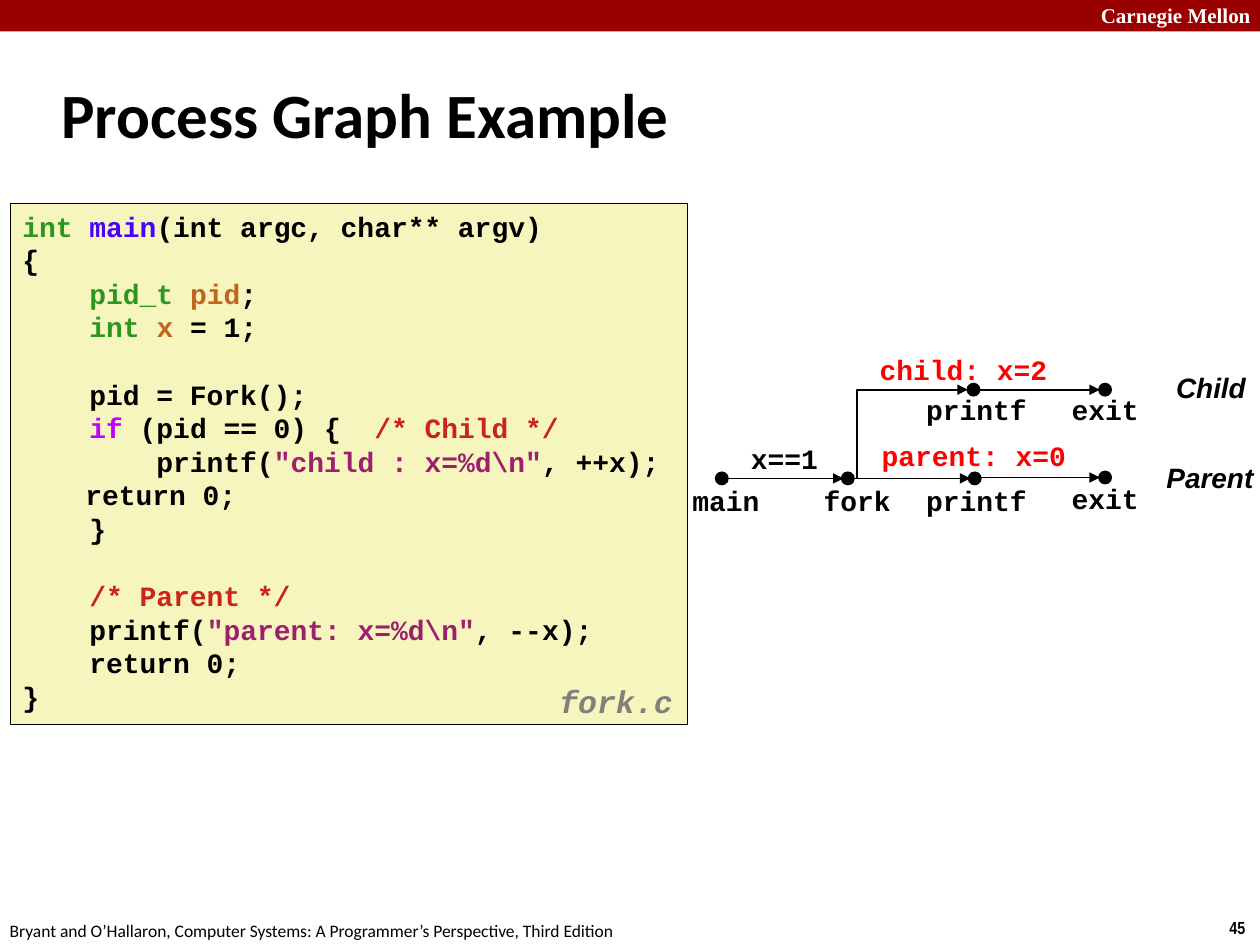
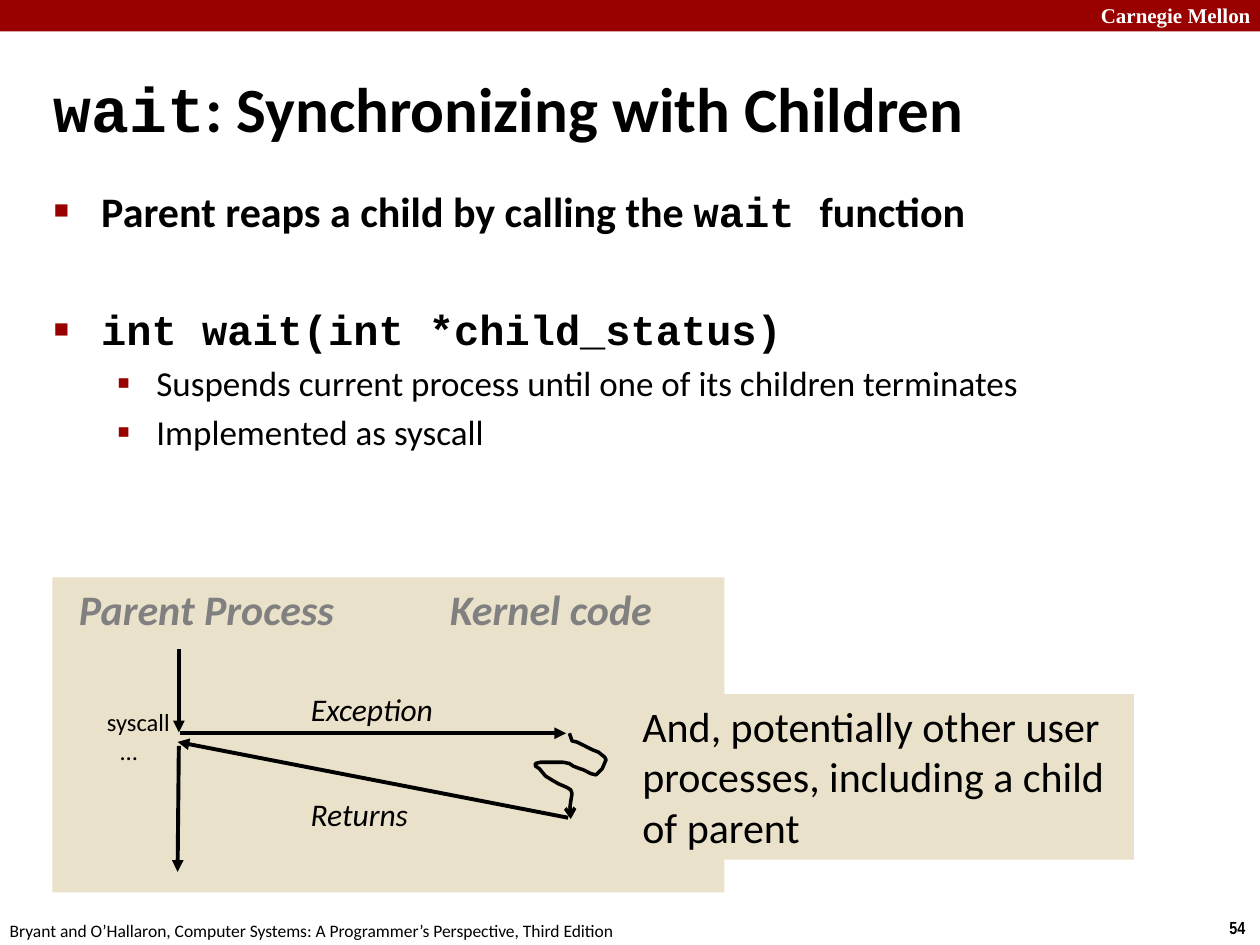
from dataclasses import dataclass

from lxml import etree
from pptx import Presentation
from pptx import util as u
from pptx.dml import color
from pptx.enum import shapes, text
from pptx.oxml import ns


@dataclass(frozen=True)
class Theme:
    # Colours
    black: str = "000000"
    white: str = "FFFFFF"
    band: str = "990000"
    code_fill: str = "F6F5BD"
    panel: str = "E9E1C9"
    grey: str = "808080"
    red: str = "FF0000"
    type_name: str = "2D961E"
    function: str = "4A00FF"
    variable: str = "C1651C"
    keyword: str = "C200FF"
    comment: str = "CB2418"
    string: str = "9D206F"
    # Fonts
    sans: str = "Calibri"
    mono: str = "Courier New"
    label: str = "Arial"
    number: str = "Arial Narrow"
    serif: str = "Times New Roman"
    # Type sizes
    title: int = 36
    body: int = 24
    sub: int = 20
    caption: int = 18
    code: int = 16
    small: int = 14
    header: int = 12
    footer: int = 10
    code_line: float = 19.2


T = Theme()
FOOTER = "Bryant and O’Hallaron, Computer Systems: A Programmer’s Perspective, Third Edition"


def rgb(value):
    return color.RGBColor.from_string(value)


def add_arrowhead(shape, kind):
    line = shape.line._get_or_add_ln()
    etree.SubElement(line, ns.qn("a:tailEnd"), type=kind)


class Deck:
    def __init__(self, theme):
        self.theme = theme
        self.file = Presentation()
        self.file.slide_width, self.file.slide_height = u.Pt(720), u.Pt(540)
        self.slide = None

    def new_slide(self, number):
        self.slide = self.file.slides.add_slide(self.file.slide_layouts[6])
        t = self.theme
        self.block((0, 0, 720, 18), t.band)
        self.text((622, -2, 103, 21.6), "Carnegie Mellon", t.header, t.serif,
                  t.white, bold=True, wrap=True)
        self.text((695.5, 520.5, 24.5, 19.5), number, t.footer, t.number, bold=True)
        self.text((-1.5, 522, 366, 19.5), FOOTER, t.footer)

    def run(self, paragraph, words, size, font, fill=T.black, bold=False, italic=False):
        run = paragraph.add_run()
        run.text = words
        run.font.size, run.font.name = u.Pt(size), font
        run.font.bold, run.font.italic = bold, italic
        run.font.color.rgb = rgb(fill)

    def frame(self, shape, wrap=False, grow=True):
        frame = shape.text_frame
        frame.word_wrap = wrap
        frame.vertical_anchor = text.MSO_ANCHOR.TOP
        if grow:
            frame.auto_size = text.MSO_AUTO_SIZE.SHAPE_TO_FIT_TEXT
        return frame

    def text_box(self, box, wrap=False, grow=True):
        return self.frame(self.slide.shapes.add_textbox(*map(u.Pt, box)), wrap, grow)

    def text(self, box, words, size, font=T.sans, fill=T.black, bold=False,
             italic=False, wrap=False):
        paragraph = self.text_box(box, wrap).paragraphs[0]
        self.run(paragraph, words, size, font, fill, bold, italic)
        return paragraph

    def mono_label(self, box, words, fill=T.black):
        paragraph = self.text(box, words, self.theme.code, self.theme.mono, fill,
                              bold=True, wrap=True)
        paragraph.alignment = text.PP_ALIGN.CENTER
        paragraph.line_spacing = u.Pt(self.theme.code_line)

    def title(self, box, *parts):
        frame = self.text_box(box, wrap=True, grow=False)
        frame.vertical_anchor = text.MSO_ANCHOR.MIDDLE
        for words, font in parts:
            self.run(frame.paragraphs[0], words, self.theme.title, font, bold=True)

    def block(self, box, fill, line=None, width=0.25, kind=shapes.MSO_SHAPE.RECTANGLE):
        shape = self.slide.shapes.add_shape(kind, *map(u.Pt, box))
        shape.shadow.inherit = False
        shape.fill.solid()
        shape.fill.fore_color.rgb = rgb(fill)
        if line:
            shape.line.color.rgb = rgb(line)
            shape.line.width = u.Pt(width)
        else:
            shape.line.fill.background()
        return shape

    def node(self, x, y):
        self.block((x - 3.6, y - 3.6, 7.2, 7.2), self.theme.black, self.theme.black,
                   0.75, shapes.MSO_SHAPE.OVAL)

    def arrow(self, start, end, width, kind=shapes.MSO_CONNECTOR.STRAIGHT):
        arrow = self.slide.shapes.add_connector(kind, *map(u.Pt, (*start, *end)))
        arrow.line.color.rgb = rgb(self.theme.black)
        arrow.line.width = u.Pt(width)
        add_arrowhead(arrow, "triangle")
        etree.SubElement(arrow._element.spPr, ns.qn("a:effectLst"))
        return arrow

    def corner_arrow(self, start, end, width):
        """Arrow that rises from start, then turns right to end."""
        rise, reach = start[1] - end[1], end[0] - start[0]
        mid_x, mid_y = (start[0] + end[0]) / 2, (start[1] + end[1]) / 2
        arrow = self.arrow((mid_x + rise / 2, mid_y + reach / 2),
                           (mid_x - rise / 2, mid_y - reach / 2),
                           width, shapes.MSO_CONNECTOR.ELBOW)
        properties = arrow._element.spPr
        properties.find(ns.qn("a:prstGeom")).set("prst", "bentConnector2")
        properties.find(ns.qn("a:xfrm")).set("rot", str(90 * 60000))

    def squiggle(self, points, width):
        start, *rest = [tuple(map(u.Pt, point)) for point in points]
        builder = self.slide.shapes.build_freeform(*start, scale=1.0)
        builder.add_line_segments(rest, close=False)
        shape = builder.convert_to_shape()
        shape.shadow.inherit = False
        shape.fill.background()
        shape.line.color.rgb = rgb(self.theme.black)
        shape.line.width = u.Pt(width)
        add_arrowhead(shape, "arrow")

    def code(self, box, lines):
        """Lines of (words, colour) parts; None leaves a gap of one line."""
        t = self.theme
        frame = self.frame(self.block(box, t.code_fill, t.black))
        paragraph, gap = frame.paragraphs[0], 0
        for number, line in enumerate(lines):
            if line is None:
                gap += t.code_line
                continue
            if number:
                paragraph = frame.add_paragraph()
            paragraph.alignment = text.PP_ALIGN.LEFT
            paragraph.line_spacing = u.Pt(t.code_line)
            if gap:
                paragraph.space_before = u.Pt(gap)
            gap = 0
            for words, fill in line:
                self.run(paragraph, words, t.code, t.mono, fill, bold=True)

    def bullets(self, box, items):
        """Items of (level, space before, parts)."""
        t = self.theme
        levels = {0: (27, 27, "■", 60, t.body), 1: (58.5, 22.5, "▪", 110, t.sub)}
        frame = self.text_box(box, wrap=True, grow=False)
        for number, (level, before, parts) in enumerate(items):
            paragraph = frame.add_paragraph() if number else frame.paragraphs[0]
            margin, hang, mark, percent, size = levels[level]
            paragraph.level = level
            paragraph.space_before = u.Pt(before)
            properties = paragraph._p.get_or_add_pPr()
            properties.set("marL", str(u.Pt(margin)))
            properties.set("indent", str(-u.Pt(hang)))
            bullet_color = etree.SubElement(properties, ns.qn("a:buClr"))
            etree.SubElement(bullet_color, ns.qn("a:srgbClr"), val=t.band)
            etree.SubElement(properties, ns.qn("a:buSzPct"), val=str(percent * 1000))
            etree.SubElement(properties, ns.qn("a:buFont"), typeface=t.label)
            etree.SubElement(properties, ns.qn("a:buChar"), char=mark)
            for words, font in parts:
                self.run(paragraph, words, size, font, bold=level == 0)


def process_graph(deck):
    deck.new_slide("45")
    deck.title((28, 34.5, 598, 60), ("Process Graph Example", T.sans))

    # Program listing
    deck.code((5.75, 116, 387, 298), [
        [("int ", T.type_name), ("main", T.function),
         ("(int argc, char** argv)", T.black)],
        [("{", T.black)],
        [("    pid_t ", T.type_name), ("pid", T.variable), (";", T.black)],
        [("    int ", T.type_name), ("x", T.variable), (" = 1;", T.black)],
        None,
        [("    pid = Fork();", T.black)],
        [("    if", T.keyword), (" (pid == 0) {  ", T.black), ("/* Child */", T.comment)],
        [("        printf(", T.black), ('"child : x=%d\\n"', T.string),
         (", ++x);", T.black)],
        [("\treturn 0;", T.black)],
        [("    }", T.black)],
        None,
        [("    /* Parent */", T.comment)],
        [("    printf(", T.black), ('"parent: x=%d\\n"', T.string), (", --x);", T.black)],
        [("    return 0;", T.black)],
        [("}", T.black)],
    ])
    deck.text((312.5, 386, 84, 28), "fork.c", T.caption, T.mono, T.grey,
              bold=True, italic=True)

    # Events and the order between them
    child_y, parent_y = 222.7, 273.4
    main_x, fork_x, printf_x, exit_x = 412.5, 484.5, 557, 631.5
    for x, y in ((main_x, parent_y), (fork_x, parent_y), (printf_x, parent_y),
                 (exit_x, parent_y - 0.5), (printf_x - 0.7, child_y), (exit_x, child_y)):
        deck.node(x, y)
    for start, end in ((main_x, fork_x), (fork_x, printf_x)):
        deck.arrow((start + 3.6, parent_y), (end - 2.5, parent_y), 1)
    for y in (child_y, parent_y - 0.5):
        deck.arrow((printf_x + 2.5, y), (exit_x - 3, y), 1)
    deck.corner_arrow((489.8, parent_y), (553, child_y), 1)

    # Event names and values
    for words, x, y, width in (("main", 388, 273, 53.5), ("fork", 458.5, 273, 62.5),
                               ("printf", 520.5, 273, 75), ("printf", 520.5, 221, 75),
                               ("exit", 594, 221, 75), ("exit", 594, 271.5, 75),
                               ("x==1", 417, 248.5, 62.5)):
        deck.mono_label((x, y, width, 26.6), words)
    deck.mono_label((478, 198, 145, 26.6), "child: x=2", T.red)
    deck.mono_label((484, 247, 145, 26.6), "parent: x=0", T.red)

    # Process names
    for words, x, y, width in (("Parent", 659.5, 259.5, 66), ("Child", 665, 208.3, 55.5)):
        deck.text((x, y, width, 26.6), words, T.code, T.label, bold=True, italic=True)


def wait_function(deck):
    deck.new_slide("54")
    deck.title((23.75, 39, 654, 45), ("wait", T.mono),
               (": Synchronizing with Children", T.sans))
    deck.bullets((23.75, 102.25, 650, 174), [
        (0, 0, [("Parent reaps a child by calling the ", T.sans), ("wait ", T.mono),
                ("function", T.sans)]),
        (0, 39, [("int wait(int *child_status)", T.mono)]),
        (1, 4, [("Suspends current process until one of its children terminates", T.sans)]),
        (1, 4, [("Implemented as syscall", T.sans)]),
    ])

    # Panel with its two columns
    deck.block((30, 330, 384, 180), T.panel)
    for words, x, width in (("Parent Process", 38, 161), ("Kernel code", 250, 140)):
        deck.text((x, 330, width, 36), words, T.body, fill=T.grey, bold=True, italic=True)

    # Control flow
    for start, end in (((102.2, 371), (102.2, 418.5)), ((103, 419), (323.5, 419)),
                       ((324.7, 467.3), (101.5, 424)), ((102.2, 426.2), (101.5, 498.2))):
        deck.arrow(start, end, 2.25)
    for words, y, width in (("Exception", 390.5, 90), ("Returns", 450.7, 72)):
        deck.text((170.5, y, width, 29), words, T.caption, italic=True)
    deck.text((54, 400.5, 51, 24.5), "syscall", T.small)
    deck.text((61.8, 417, 25, 24.5), "…", T.small)

    # Work inside the kernel
    deck.squiggle([
        (325.4, 419), (326.9, 423.4), (329.8, 424.1), (334.1, 426.2), (338.4, 428.4),
        (342, 429.8), (345.6, 432.7), (346.3, 434.2), (344.2, 439.2), (340.6, 442.8),
        (337.7, 442.1), (333.4, 439.9), (331.2, 439.2), (327.6, 437.8), (325.4, 436.3),
        (321.8, 435.6), (308.9, 435.6), (306, 436.3), (306, 437.8), (308.2, 439.2),
        (311.8, 443.5), (315.4, 445.7), (319, 447.8), (324, 450), (326.2, 451.4),
        (326.9, 453.6), (326.2, 457.9), (325.4, 463.7), (326.2, 468)], 2)
    note = deck.frame(deck.block((360, 396.7, 288, 94.5), T.panel), wrap=True)
    note.paragraphs[0].alignment = text.PP_ALIGN.LEFT
    deck.run(note.paragraphs[0], "And, potentially other user processes, "
             "including a child of parent", T.body, T.sans)


def main():
    deck = Deck(T)
    process_graph(deck)
    wait_function(deck)
    deck.file.save("out.pptx")


if __name__ == "__main__":
    main()
